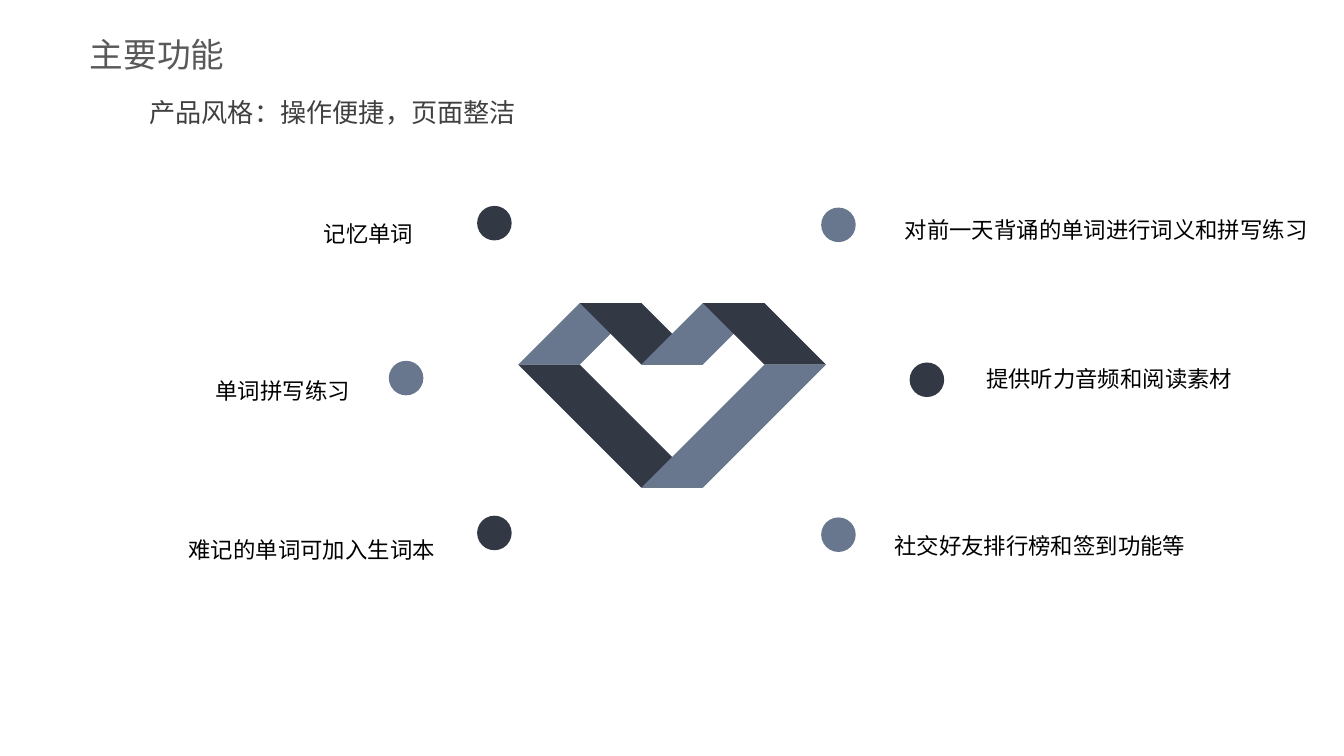
import pptx
import pptx.dml.color
import pptx.enum.shapes
import pptx.enum.text
import pptx.oxml
import pptx.oxml.ns
import pptx.util

Pt = pptx.util.Pt
RGBColor = pptx.dml.color.RGBColor
ALIGN = pptx.enum.text.PP_ALIGN
ANCHOR = pptx.enum.text.MSO_ANCHOR

DARK = RGBColor(0x32, 0x38, 0x44)
SLATE = RGBColor(0x68, 0x77, 0x8E)
TITLE_GREY = RGBColor(0x59, 0x59, 0x59)
TEXT_GREY = RGBColor(0x40, 0x40, 0x40)
BLACK = RGBColor(0, 0, 0)
FONT = "Noto Sans CJK SC"

TITLE = "主要功能"
SUBTITLE = "产品风格：操作便捷，页面整洁"

LEFT_FEATURES = [
    ("记忆单词", (109.8, 103.7, 133.9, 39.6), 1.2),
    ("单词拼写练习", (75.9, 191.1, 133.9, 33.1), 1.2),
    ("难记的单词可加入生词本", (99.2, 277.2, 156.2, 33.1), 1.1),
]
RIGHT_FEATURES = [
    ("对前一天背诵的单词进行词义和拼写练习", (462.4, 107.3, 252.7, 33.1), 1.2),
    ("提供听力音频和阅读素材", (506, 187.2, 155.5, 33.1), 1.2),
    ("社交好友排行榜和签到功能等", (456.8, 276.2, 197.3, 33.1), 1.2),
]

HEART_LEFT, HEART_TOP, HEART_UNIT = 277.7, 162.4, 32.95
HEART_BANDS = [
    (SLATE, [(1, 1), (0, 1), (1, 0), (2, 0)]),
    (DARK, [(2, 0), (1, 0), (2, 1), (3, 1)]),
    (SLATE, [(3, 1), (2, 1), (3, 0), (4, 0)]),
    (DARK, [(4, 0), (3, 0), (4, 1), (5, 1)]),
    (DARK, [(3, 3), (1, 1), (0, 1), (2, 3)]),
    (SLATE, [(2, 3), (3, 3), (5, 1), (4, 1)]),
]

DOT_SIZE = 18.5
DOT_TOP, DOT_STEP = 110.3, 83
RIGHT_DOT_DROP = 0.9
LEFT_DOTS = (255.6, 208.3, 255.6)
RIGHT_DOTS = (439.9, 487.3, 439.9)


def place(box, frame):
    box.left, box.top, box.width, box.height = map(Pt, frame)


def write(box, text, size, color, insets, anchor, align=ALIGN.LEFT, spacing=1.0):
    frame = box.text_frame
    frame.text = text
    frame.word_wrap = True
    frame.auto_size = pptx.enum.text.MSO_AUTO_SIZE.NONE
    frame.vertical_anchor = anchor
    frame.margin_left, frame.margin_top, frame.margin_right, frame.margin_bottom = map(Pt, insets)
    para = frame.paragraphs[0]
    para.alignment = align
    para.line_spacing = spacing
    span = para.runs[0]
    span.font.size = Pt(size)
    span.font.name = FONT
    span.font.color.rgb = color
    east_asian = pptx.oxml.parse_xml(
        f'<a:ea {pptx.oxml.ns.nsdecls("a")} typeface="{FONT}"/>'
    )
    span.font._element.find(pptx.oxml.ns.qn("a:latin")).addnext(east_asian)


def paint(shape, color):
    shape.shadow.inherit = False
    shape.fill.solid()
    shape.fill.fore_color.rgb = color
    shape.line.fill.background()


def add_text(page, text, frame, *style):
    write(page.shapes.add_textbox(*map(Pt, frame)), text, *style)


def add_heart(page):
    for color, corners in HEART_BANDS:
        builder = page.shapes.build_freeform(*corners[0], scale=float(Pt(HEART_UNIT)))
        builder.add_line_segments(corners[1:], close=True)
        paint(builder.convert_to_shape(Pt(HEART_LEFT), Pt(HEART_TOP)), color)


def add_dots(page):
    oval = pptx.enum.shapes.MSO_SHAPE.OVAL
    for row, (left, right) in enumerate(zip(LEFT_DOTS, RIGHT_DOTS)):
        top = DOT_TOP + row * DOT_STEP
        colors = (SLATE, DARK) if row % 2 else (DARK, SLATE)
        places = ((left, top), (right, top + RIGHT_DOT_DROP))
        for (x, y), color in zip(places, colors):
            dot = page.shapes.add_shape(oval, Pt(x), Pt(y), Pt(DOT_SIZE), Pt(DOT_SIZE))
            paint(dot, color)


def main():
    deck = pptx.Presentation()
    deck.slide_width, deck.slide_height = Pt(720), Pt(405)
    page = deck.slides.add_slide(deck.slide_layouts.get_by_name("Title Only"))

    place(page.shapes.title, (48.2, 13.7, 167.8, 30.2))
    write(page.shapes.title, TITLE, 18, TITLE_GREY, (0, 3.6, 0, 3.6), ANCHOR.MIDDLE)

    add_heart(page)
    add_dots(page)

    for text, frame, spacing in RIGHT_FEATURES:
        add_text(page, text, frame, 12, BLACK, (22.3, 5.8, 0, 0),
                 ANCHOR.TOP, ALIGN.LEFT, spacing)
    for text, frame, spacing in LEFT_FEATURES:
        add_text(page, text, frame, 12, BLACK, (0, 0, 22.3, 0),
                 ANCHOR.MIDDLE, ALIGN.RIGHT, spacing)
    add_text(page, SUBTITLE, (73, 48.2, 262.8, 24.5), 14, TEXT_GREY,
             (7.2, 3.6, 7.2, 3.6), ANCHOR.TOP)

    deck.save("out.pptx")


if __name__ == "__main__":
    main()
